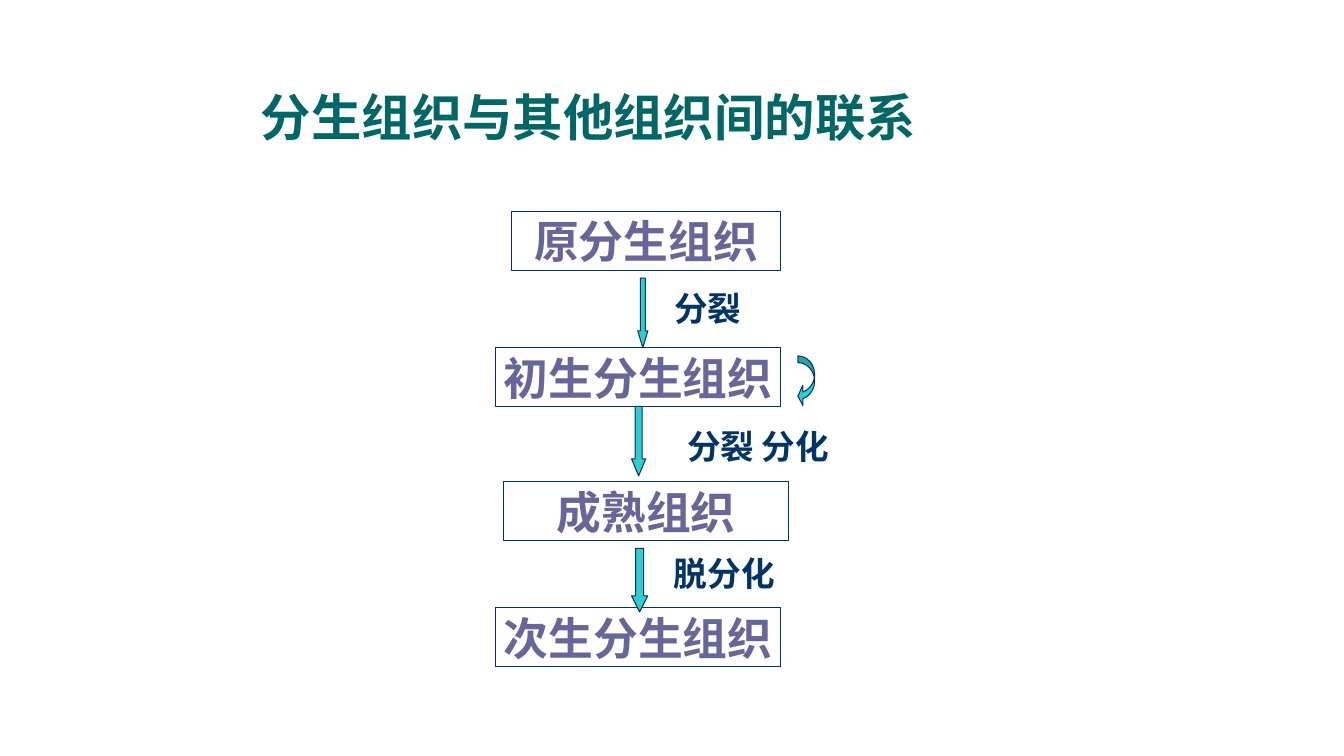
from typing import NamedTuple

from lxml import etree
from pptx import Presentation
from pptx.dml.color import RGBColor
from pptx.enum.shapes import MSO_SHAPE
from pptx.enum.text import MSO_ANCHOR, MSO_AUTO_SIZE, PP_ALIGN
from pptx.oxml.ns import qn
from pptx.util import Pt

BOX = MSO_SHAPE.FLOWCHART_PROCESS
DOWN = MSO_SHAPE.DOWN_ARROW
CURVE = MSO_SHAPE.CURVED_LEFT_ARROW
LEFT, CENTER = PP_ALIGN.LEFT, PP_ALIGN.CENTER
TOP, MIDDLE, BOTTOM = MSO_ANCHOR.TOP, MSO_ANCHOR.MIDDLE, MSO_ANCHOR.BOTTOM
GROW = MSO_AUTO_SIZE.SHAPE_TO_FIT_TEXT
FIXED = MSO_AUTO_SIZE.NONE
FONT = "Noto Sans CJK SC"
COLORS = {"title": "006666", "tissue": "666699", "navy": "003366", "arrow": "33CCCC"}


class Tissue(NamedTuple):
    text: str
    left: float
    top: float
    width: float


class Label(NamedTuple):
    text: str
    top: float
    width: float


class Arrow(NamedTuple):
    kind: MSO_SHAPE
    left: float
    top: float
    width: float
    height: float
    adjust: tuple[float, ...]


TISSUES = [
    Tissue("原分生组织", 365.8, 151.2, 192.2),
    Tissue("初生分生组织", 354.2, 248.4, 203.8),
    Tissue("成熟组织", 360, 344.2, 203.8),
    Tissue("次生分生组织", 354.2, 434.2, 203.8),
]
LABELS = [
    Label("分裂", 202.3, 62.6),
    Label("分裂 分化", 301, 134.6),
    Label("脱分化", 391.7, 86.4),
]
ARROWS = [
    Arrow(DOWN, 455.8, 198.7, 7.2, 49.7, (0.5, 1.68)),
    Arrow(DOWN, 451.4, 290.2, 10.1, 49.7, (0.5, 1.2)),
    Arrow(DOWN, 451.4, 391.7, 11.5, 45.4, (0.5, 1)),
    Arrow(CURVE, 570.2, 254.2, 12, 36, (0.4, 1.2, 0.3)),
]


def color(name: str) -> RGBColor:
    """Look up a named colour."""
    return RGBColor.from_string(COLORS[name])


def write(shape, text: str, *, size: float, tint: str, align=CENTER,
          anchor=MIDDLE, wrap: bool = False, fit=FIXED, space: float = 1) -> None:
    """Put one bold paragraph into a shape."""
    frame = shape.text_frame
    frame.auto_size = fit
    frame.word_wrap = wrap
    frame.vertical_anchor = anchor
    para = frame.paragraphs[0]
    para.alignment = align
    para.line_spacing = space
    run = para.add_run()
    run.text = text
    run.font.name = FONT
    run.font.size = Pt(size)
    run.font.bold = True
    run.font.color.rgb = color(tint)
    etree.SubElement(run.font._element, qn("a:ea"), typeface=FONT)


def draw(slide, kind: MSO_SHAPE, left: float, top: float, width: float, height: float):
    """Add a preset shape with a thin navy line."""
    shape = slide.shapes.add_shape(kind, Pt(left), Pt(top), Pt(width), Pt(height))
    shape.shadow.inherit = False
    shape.line.color.rgb = color("navy")
    shape.line.width = Pt(0.75)
    return shape


def add_tissue(slide, item: Tissue) -> None:
    """Add one framed tissue name."""
    shape = draw(slide, BOX, item.left, item.top, item.width, 42)
    shape.fill.background()
    write(shape, item.text, size=32, tint="tissue")


def add_arrow(slide, item: Arrow) -> None:
    """Add one filled arrow."""
    shape = draw(slide, item.kind, item.left, item.top, item.width, item.height)
    shape.fill.solid()
    shape.fill.fore_color.rgb = color("arrow")
    for index, value in enumerate(item.adjust):
        shape.adjustments[index] = value


def add_label(slide, item: Label) -> None:
    """Add the name of one process."""
    shape = slide.shapes.add_textbox(Pt(474.5), Pt(item.top), Pt(item.width), Pt(36))
    write(shape, item.text, size=24, tint="navy", anchor=TOP, fit=GROW)


def main() -> None:
    """Build and save the slide."""
    deck = Presentation()
    deck.slide_width, deck.slide_height = Pt(960.5), Pt(540)
    slide = deck.slides.add_slide(deck.slide_layouts[5])
    title = slide.shapes.title
    title.left, title.top = Pt(179.3), Pt(49)
    title.width, title.height = Pt(601.2), Pt(59.8)
    write(title, "分生组织与其他组织间的联系", size=36, tint="title",
          align=LEFT, anchor=BOTTOM, wrap=True, space=0.9)
    for tissue in TISSUES:
        add_tissue(slide, tissue)
    for arrow in ARROWS:
        add_arrow(slide, arrow)
    for label in LABELS:
        add_label(slide, label)
    deck.save("out.pptx")


if __name__ == "__main__":
    main()
